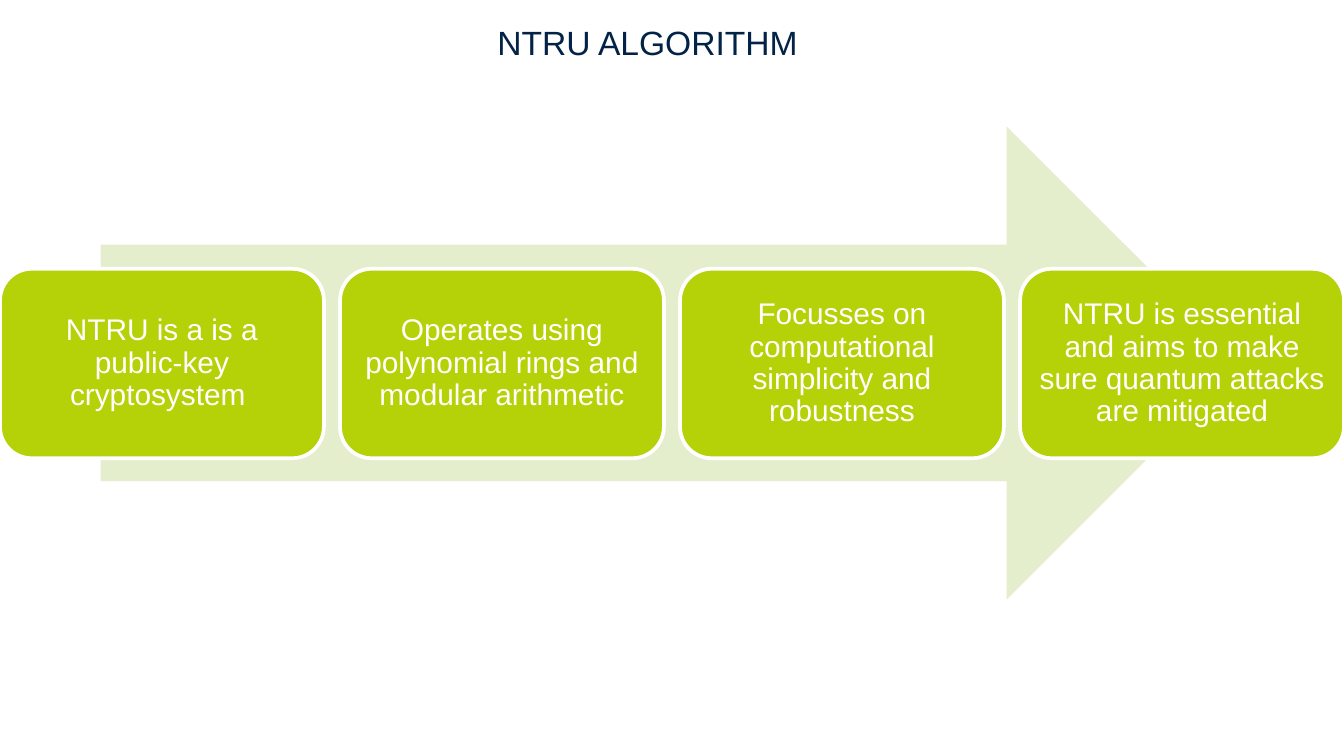
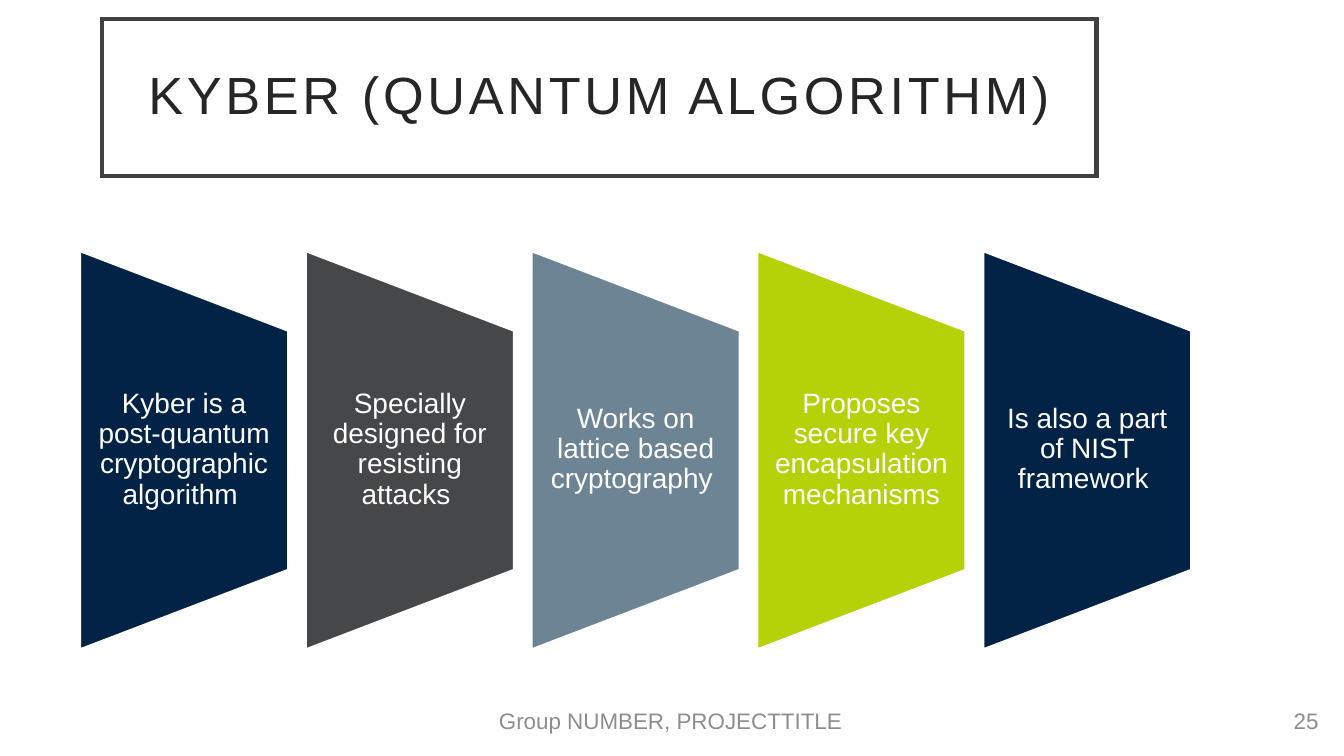
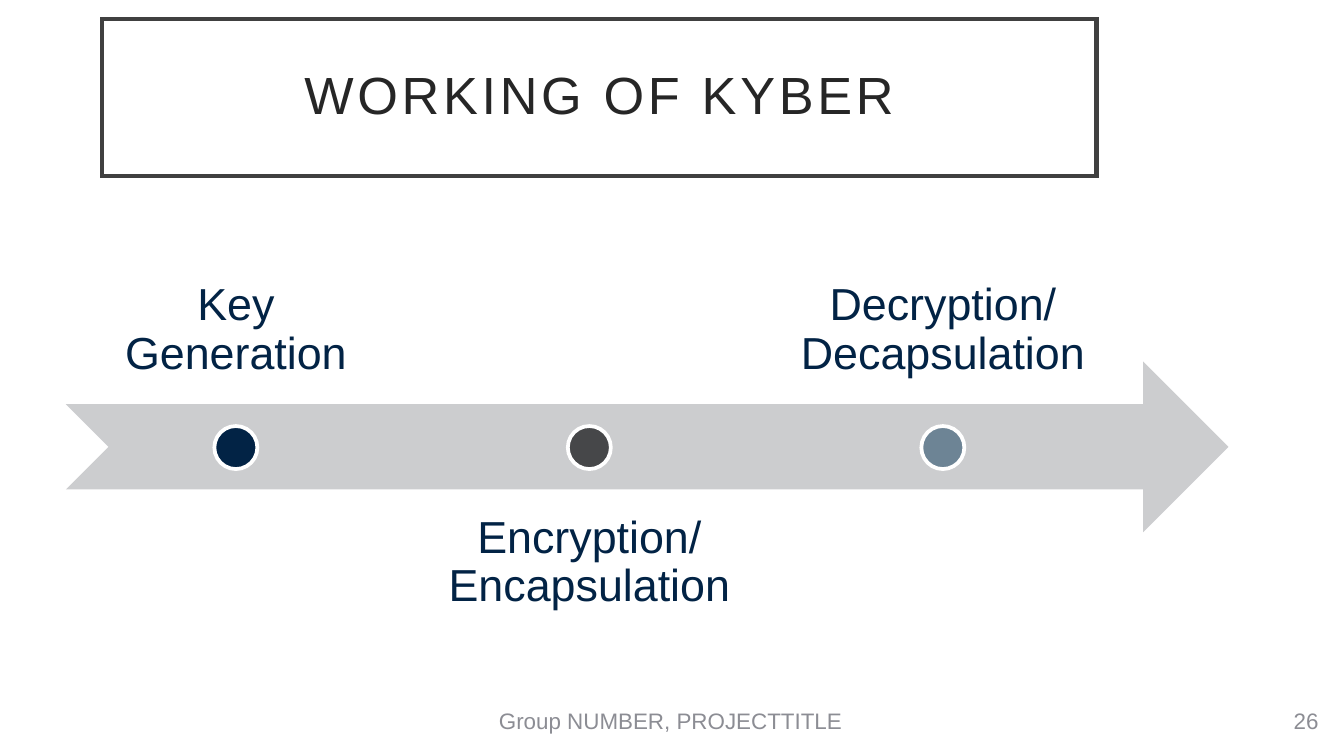
"""Build three slides on the NTRU and Kyber algorithms."""
from lxml import etree
from pptx import Presentation
from pptx.dml.color import RGBColor
from pptx.enum.shapes import MSO_SHAPE
from pptx.enum.text import MSO_ANCHOR, MSO_AUTO_SIZE, PP_ALIGN
from pptx.oxml.ns import qn
from pptx.util import Inches, Pt

LEFT, MID, RIGHT = PP_ALIGN.LEFT, PP_ALIGN.CENTER, PP_ALIGN.RIGHT
TOP, CENTER, BOTTOM = MSO_ANCHOR.TOP, MSO_ANCHOR.MIDDLE, MSO_ANCHOR.BOTTOM
RECT, OVAL = MSO_SHAPE.ROUNDED_RECTANGLE, MSO_SHAPE.OVAL
ARROW, NOTCHED = MSO_SHAPE.RIGHT_ARROW, MSO_SHAPE.NOTCHED_RIGHT_ARROW
WEDGE = MSO_SHAPE.FLOWCHART_MANUAL_OPERATION

FONT = "Arial"
COLORS = {
    "navy": "022345", "gray": "464749", "slate": "6D8495", "lime": "B5D107",
    "pale": "E5EECC", "silver": "CCCDCF", "white": "FFFFFF",
    "frame": "404040", "ink": "262626", "foot": "8C8D94",
}

NTRU = [
    "NTRU is a is a public-key cryptosystem ",
    "Operates using polynomial rings and modular arithmetic",
    "Focusses on computational simplicity and robustness",
    "NTRU is essential and aims to make sure quantum attacks are mitigated",
]
KYBER = [
    ("Kyber is a post-quantum cryptographic algorithm ", "navy"),
    ("Specially designed for resisting attacks ", "gray"),
    ("Works on lattice based cryptography ", "slate"),
    ("Proposes secure key encapsulation mechanisms", "lime"),
    ("Is also a part of NIST framework ", "navy"),
]
STEPS = [
    ("Key Generation", "navy"),
    ("Encryption/Encapsulation", "gray"),
    ("Decryption/Decapsulation", "slate"),
]
FOOTER = "Group NUMBER, PROJECTTITLE"


def color(name):
    return RGBColor.from_string(COLORS[name])


def place(shape, box):
    shape.left, shape.top, shape.width, shape.height = map(Inches, box)


def write(shape, text, size, tint, align=MID, anchor=CENTER,
          inset=(0.1, 0.05), lead=0.9):
    frame = shape.text_frame
    frame.text = text
    frame.word_wrap = True
    frame.auto_size = MSO_AUTO_SIZE.NONE
    frame.vertical_anchor = anchor
    frame.margin_left = frame.margin_right = Inches(inset[0])
    frame.margin_top = frame.margin_bottom = Inches(inset[1])
    par = frame.paragraphs[0]
    par.alignment, par.line_spacing = align, lead
    run = par.runs[0]
    run.font.name, run.font.size = FONT, Pt(size)
    run.font.color.rgb = color(tint)
    return run


def paint(shape, fill, line=None, width=2):
    shape.fill.solid()
    shape.fill.fore_color.rgb = color(fill)
    if line:
        shape.line.color.rgb = color(line)
        shape.line.width = Pt(width)
        edge = shape._element.spPr.find(qn("a:ln"))
        etree.SubElement(edge, qn("a:miter"), lim="800000")
    else:
        shape.line.fill.background()


def draw(slide, kind, box, fill, line=None):
    shape = slide.shapes.add_shape(kind, *map(Inches, box))
    shape.shadow.inherit = False
    paint(shape, fill, line)
    return shape


def label(slide, box, *args, **style):
    write(slide.shapes.add_textbox(*map(Inches, box)), *args, **style)


def new_slide(prs):
    return prs.slides.add_slide(prs.slide_layouts[5])


def framed(prs, title, page):
    slide = new_slide(prs)
    head = slide.shapes.title
    place(head, (0.76, 0.14, 7.4, 1.17))
    paint(head, "white", "frame", 2.5)
    run = write(head, title, 28, "ink", inset=(0.2, 0.2))
    run.font._element.set("spc", "200")
    label(slide, (1.82, 5.21, 6.34, 0.3), FOOTER, 12, "foot", lead=1)
    label(slide, (7.58, 5.21, 2.33, 0.3), page, 12, "foot", RIGHT, lead=1)
    return slide


def ntru(prs):
    slide = new_slide(prs)
    head = slide.shapes.title
    place(head, (3.6, 0.11, 5, 0.4))
    write(head, "NTRU ALGORITHM", 18, "navy", LEFT, TOP, lead=1)
    draw(slide, ARROW, (0.75, 0.94, 8.5, 3.52), "pale")
    for i, text in enumerate(NTRU):
        card = draw(slide, RECT, (2.53 * i, 2, 2.41, 1.41), "lime", "white")
        write(card, text, 16, "white", inset=(0.07, 0.07))


def kyber(prs):
    slide = framed(prs, "KYBER (QUANTUM ALGORITHM)", "25")
    long, wide, mid = 2.98, 1.56, 3.35
    for i, (text, fill) in enumerate(KYBER):
        left = 0.59 + 1.68 * i
        box = (left + (wide - long) / 2, mid - wide / 2, long, wide)
        draw(slide, WEDGE, box, fill, "white").rotation = 270
        label(slide, (left, 2.45, wide, 1.79), text, 15, "white",
              inset=(0.1, 0))


def working(prs):
    slide = framed(prs, "WORKING OF KYBER", "26")
    draw(slide, NOTCHED, (0.49, 2.69, 8.65, 1.27), "silver")
    wide, dot = 2.51, 0.32
    for i, (text, fill) in enumerate(STEPS):
        left = 0.5 + 2.63 * i
        top, anchor = (3.64, TOP) if i % 2 else (1.74, BOTTOM)
        label(slide, (left, top, wide, 1.27), text, 24, "navy",
              anchor=anchor, inset=(0.19, 0.19))
        draw(slide, OVAL, (left + (wide - dot) / 2, 3.17, dot, dot),
             fill, "white")


def main():
    prs = Presentation()
    prs.slide_width, prs.slide_height = Inches(10), Inches(10 * 9 / 16)
    for build in (ntru, kyber, working):
        build(prs)
    prs.save("out.pptx")


if __name__ == "__main__":
    main()
